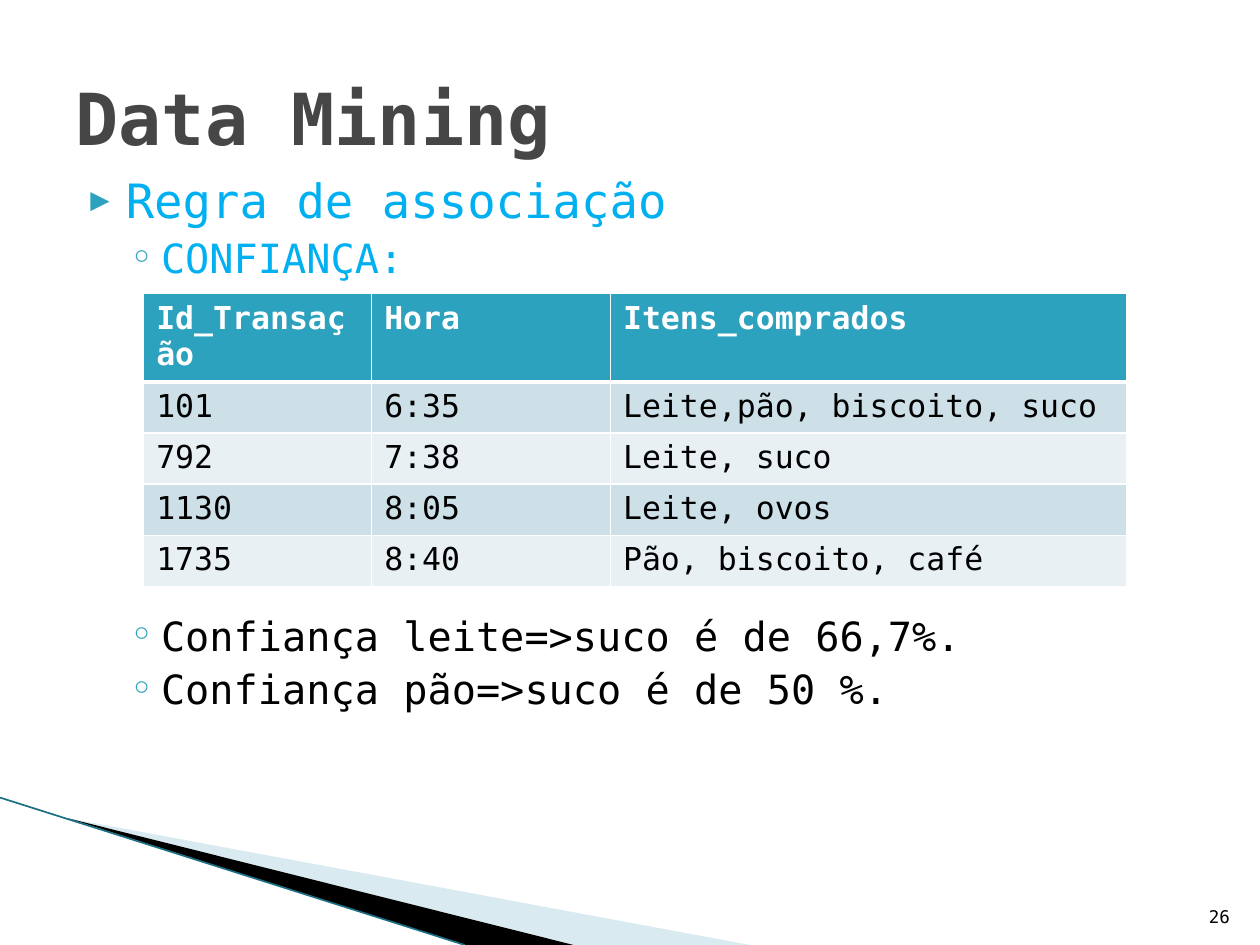
from dataclasses import dataclass

from lxml import etree
from pptx import Presentation
from pptx.dml.color import RGBColor
from pptx.enum.shapes import MSO_CONNECTOR
from pptx.enum.text import MSO_ANCHOR, PP_ALIGN
from pptx.oxml.ns import qn
from pptx.util import Inches, Pt

LEFT, RIGHT = PP_ALIGN.LEFT, PP_ALIGN.RIGHT
TOP, MIDDLE, BOTTOM = MSO_ANCHOR.TOP, MSO_ANCHOR.MIDDLE, MSO_ANCHOR.BOTTOM
STRAIGHT = MSO_CONNECTOR.STRAIGHT
TITLE_ONLY = 5
WIDTH, HEIGHT = 10, 7.5


@dataclass(frozen=True)
class Theme:
    """Font, colours and type sizes of the slide."""
    font: str = "DejaVu Sans Mono"
    title: str = "464646"
    accent: str = "2DA2BF"
    highlight: str = "00B0F0"
    black: str = "000000"
    white: str = "FFFFFF"
    bands: tuple = ("CDE0E8", "E8F0F4")
    wedge: str = "A0CBDC"
    edge: str = "1B6F82"
    title_size: int = 41
    topic_size: int = 27
    point_size: int = 23
    table_size: int = 18
    number_size: int = 10


THEME = Theme()

# text, level, colour, space before in points (the third leaves room for the table)
OUTLINE = [
    ("Regra de associação", 0, THEME.highlight, 4),
    ("CONFIANÇA:", 1, THEME.highlight, 3.2),
    ("Confiança leite=>suco é de 66,7%.", 1, THEME.black, 188),
    ("Confiança pão=>suco é de 50 %.", 1, THEME.black, 3.2),
]
# bullet, bullet size in percent, left margin, hanging indent, type size
LEVELS = [
    ("▶", 68, 0.4, 0.28, THEME.topic_size),
    ("◦", 100, 0.68, 0.25, THEME.point_size),
]
TRANSACTIONS = [
    ("Id_Transação", "Hora", "Itens_comprados"),
    ("101", "6:35", "Leite,pão, biscoito, suco"),
    ("792", "7:38", "Leite, suco"),
    ("1130", "8:05", "Leite, ovos"),
    ("1735", "8:40", "Pão, biscoito, café"),
]
COLUMN_SHARES = (0.232, 0.243, 0.525)


def rgb(color):
    """Turn a hex string into a colour."""
    return RGBColor.from_string(color)


def inches(*lengths):
    """Turn lengths in inches into slide units."""
    return [Inches(length) for length in lengths]


def add_xml(parent, tag, **attributes):
    """Append a child element such as a:buChar."""
    child = etree.SubElement(parent, qn(tag))
    for name, value in attributes.items():
        child.set(name, str(value))
    return child


def write(paragraph, text, *, size, color, bold=False, align=LEFT, before=0):
    """Write one formatted run into a paragraph."""
    paragraph.alignment = align
    paragraph.space_before = Pt(before)
    run = paragraph.add_run()
    run.text = text
    run.font.name = THEME.font
    run.font.size = Pt(size)
    run.font.bold = bold
    run.font.color.rgb = rgb(color)


def prepare(frame, anchor):
    """Make a text frame wrap and hold its text at the given anchor."""
    frame.word_wrap = True
    frame.vertical_anchor = anchor
    return frame


def add_bullet(paragraph, character, percent, margin, hanging):
    """Give a paragraph a coloured bullet and a hanging indent."""
    properties = paragraph._p.get_or_add_pPr()
    properties.set("marL", str(Inches(margin)))
    properties.set("indent", str(-Inches(hanging)))
    add_xml(add_xml(properties, "a:buClr"), "a:srgbClr", val=THEME.accent)
    add_xml(properties, "a:buSzPct", val=percent * 1000)
    add_xml(properties, "a:buFont", typeface=THEME.font)
    add_xml(properties, "a:buChar", char=character)


def add_wedge(slide, points, color, opacity=100):
    """Draw a filled outline through the points."""
    start, *others = [tuple(inches(*point)) for point in points]
    builder = slide.shapes.build_freeform(*start)
    builder.add_line_segments(others)
    shape = builder.convert_to_shape()
    shape.shadow.inherit = False
    shape.line.fill.background()
    shape.fill.solid()
    shape.fill.fore_color.rgb = rgb(color)
    if opacity < 100:
        tint = shape._element.spPr.find(".//" + qn("a:srgbClr"))
        add_xml(tint, "a:alpha", val=opacity * 1000)


def add_corner(slide, left, top, width, height):
    """Draw the wedges and edge line in the lower left corner."""
    right, bottom = left + width, top + height
    tip = (left + 0.09 * width, top + 0.14 * height)
    middle = (left + 0.765 * width, bottom)
    add_wedge(slide, [tip, (right, bottom), middle], THEME.wedge, 40)
    add_wedge(slide, [tip, middle, (left + 0.62 * width, bottom)], THEME.black)
    edge = slide.shapes.add_connector(
        STRAIGHT, *inches(left, top, left + 0.62 * width, bottom))
    edge.line.color.rgb = rgb(THEME.edge)
    edge.line.width = Pt(0.95)
    add_xml(edge._element.spPr, "a:effectLst")


def add_title(slide, left, top, width, height):
    """Place and format the title placeholder."""
    title = slide.shapes.title
    title.left, title.top, title.width, title.height = inches(left, top, width, height)
    frame = prepare(title.text_frame, MIDDLE)
    write(frame.paragraphs[0], "Data Mining", size=THEME.title_size,
          color=THEME.title, bold=True)


def add_outline(slide, left, top, width, height):
    """Write the bulleted outline that surrounds the table."""
    box = slide.shapes.add_textbox(*inches(left, top, width, height))
    frame = prepare(box.text_frame, TOP)
    for index, (text, level, color, before) in enumerate(OUTLINE):
        paragraph = frame.add_paragraph() if index else frame.paragraphs[0]
        paragraph.level = level
        *bullet, size = LEVELS[level]
        write(paragraph, text, size=size, color=color, before=before)
        add_bullet(paragraph, *bullet)


def format_cell(cell, text, row):
    """Fill one cell, set its text and draw its white borders."""
    header = row == 0
    write(cell.text_frame.paragraphs[0], text, size=THEME.table_size, bold=header,
          color=THEME.white if header else THEME.black)
    properties = cell._tc.get_or_add_tcPr()
    heavy = {0: "a:lnB", 1: "a:lnT"}.get(row)
    for side in ("a:lnL", "a:lnR", "a:lnT", "a:lnB"):
        border = add_xml(properties, side, w=Pt(3 if side == heavy else 1))
        add_xml(add_xml(border, "a:solidFill"), "a:srgbClr", val=THEME.white)
    cell.fill.solid()
    cell.fill.fore_color.rgb = rgb(THEME.accent if header else THEME.bands[(row - 1) % 2])


def add_transactions(slide, left, top, width, height):
    """Add the table of transactions."""
    table = slide.shapes.add_table(len(TRANSACTIONS), len(COLUMN_SHARES),
                                   *inches(left, top, width, height)).table
    for column, share in zip(table.columns, COLUMN_SHARES):
        column.width = Inches(width * share)
    for row, texts in enumerate(TRANSACTIONS):
        for column, text in enumerate(texts):
            format_cell(table.cell(row, column), text, row)


def add_number(slide, left, top, width, height):
    """Write the slide number."""
    box = slide.shapes.add_textbox(*inches(left, top, width, height))
    write(prepare(box.text_frame, BOTTOM).paragraphs[0], "26",
          size=THEME.number_size, color=THEME.black, align=RIGHT)


def build():
    """Build and save the presentation."""
    presentation = Presentation()
    presentation.slide_width, presentation.slide_height = inches(WIDTH, HEIGHT)
    slide = presentation.slides.add_slide(presentation.slide_layouts[TITLE_ONLY])
    margin, content = 0.05 * WIDTH, 0.9 * WIDTH
    add_corner(slide, 0, 6.33, 0.595 * WIDTH, HEIGHT - 6.33)
    add_outline(slide, margin, 1.31, content, 5.67)
    add_title(slide, margin, 0.3, content, 1.25)
    add_transactions(slide, 1.14, 2.33, 0.78 * WIDTH, 2.03)
    add_number(slide, 9.46, 7.01, 0.4, 0.4)
    presentation.save("out.pptx")


build()
